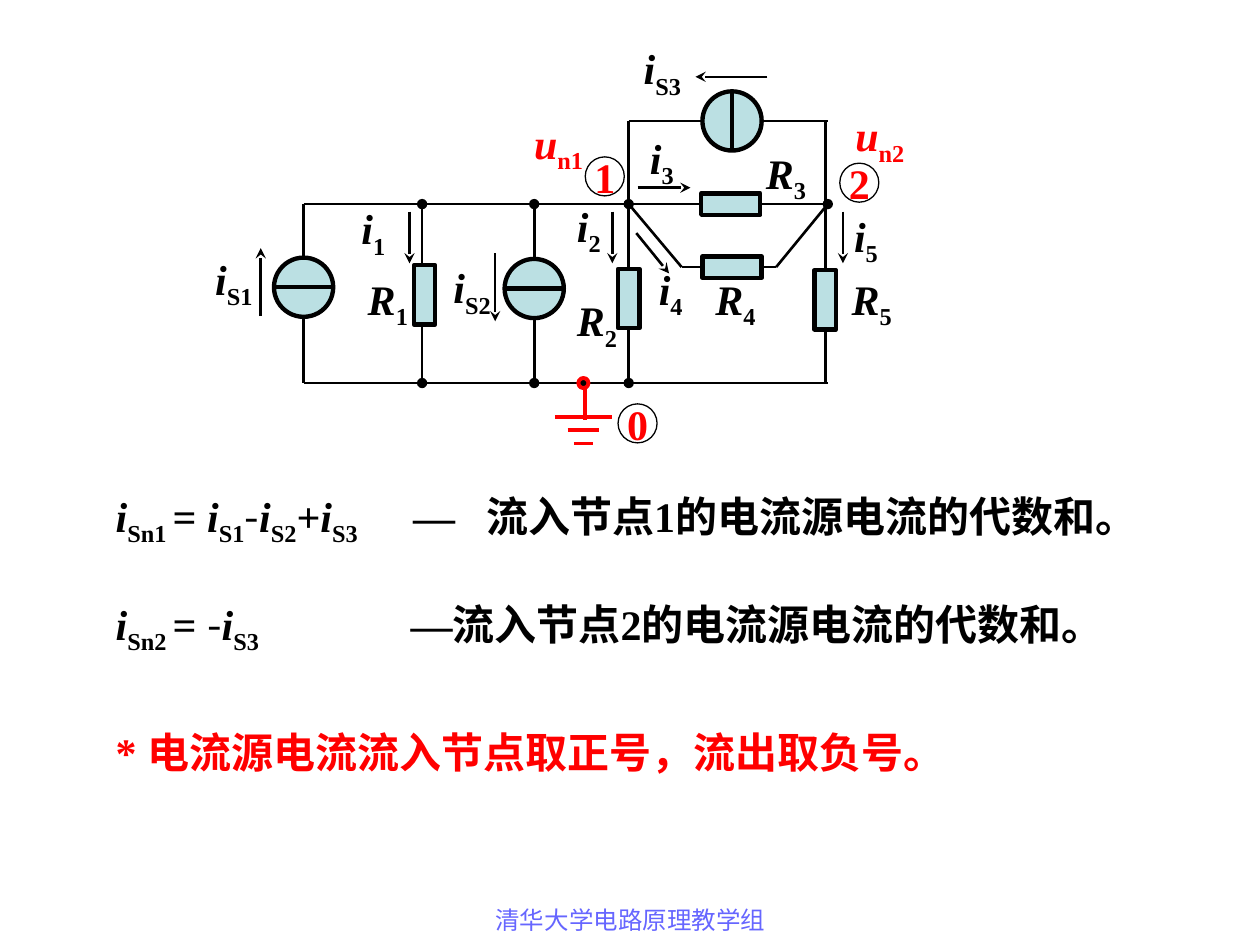
from lxml import etree
from pptx import Presentation
from pptx.dml.color import RGBColor
from pptx.enum.shapes import MSO_CONNECTOR, MSO_SHAPE
from pptx.enum.text import MSO_ANCHOR, PP_ALIGN
from pptx.oxml.ns import qn
from pptx.util import Inches, Pt

LINE = MSO_CONNECTOR.STRAIGHT
OVAL, RECT = MSO_SHAPE.OVAL, MSO_SHAPE.RECTANGLE
LEFT, CENTER = PP_ALIGN.LEFT, PP_ALIGN.CENTER
MIDDLE = MSO_ANCHOR.MIDDLE

BLACK = RGBColor(0x00, 0x00, 0x00)
RED = RGBColor(0xFF, 0x00, 0x00)
TEAL = RGBColor(0xBB, 0xE0, 0xE3)
VIOLET = RGBColor(0x66, 0x66, 0xFF)
SERIF, HAN = "Times New Roman", "Noto Sans CJK SC"

# The slide is a grid of 100 columns and 75 rows
COLS, ROWS = 100, 75


def cell(n):
    return Inches(n / 10)


def write(frame, runs, color=BLACK, size=24, bold=True, align=LEFT, tabs=()):
    """Fill a frame with (text, style) runs: i italic, s subscript, h Han font."""
    para = frame.paragraphs[0]
    para.alignment = align
    if tabs:
        stops = etree.SubElement(para._p.get_or_add_pPr(), qn("a:tabLst"))
        for stop in tabs:
            etree.SubElement(stops, qn("a:tab"), pos=str(cell(stop)), algn="l")
    font = para.font
    font.name, font.size, font.bold = SERIF, Pt(size), bold
    font.color.rgb = color
    for text, style in runs:
        run = para.add_run()
        run.text = text
        props = run._r.get_or_add_rPr()
        if "i" in style:
            run.font.italic = True
        if "s" in style:
            props.set("baseline", "-25000")
        if "h" in style:
            run.font.name, run.font.bold = HAN, False
        if not text.isascii():
            etree.SubElement(props, qn("a:ea"), typeface=HAN)


def note(slide, box, runs, **look):
    frame = slide.shapes.add_textbox(*map(cell, box)).text_frame
    frame.word_wrap = True
    write(frame, runs, **look)


class Board:
    """Draws pieces of the circuit relative to its box."""

    def __init__(self, slide, box):
        self.slide = slide
        self.left, self.top = box[:2]

    def wire(self, x1, y1, x2, y2, color=BLACK, width=1.5, head=None, tail=None):
        line = self.slide.shapes.add_connector(
            LINE, cell(self.left + x1), cell(self.top + y1),
            cell(self.left + x2), cell(self.top + y2))
        line.line.color.rgb = color
        line.line.width = Pt(width)
        props = line._element.spPr
        pen = props.find(qn("a:ln"))
        for tag, kind in (("a:headEnd", head), ("a:tailEnd", tail)):
            if kind:
                etree.SubElement(pen, qn(tag), type=kind)
        etree.SubElement(props, qn("a:effectLst"))

    def piece(self, kind, x, y, w, h, fill=TEAL, color=BLACK, width=2.5):
        """Place a shape by its centre."""
        shape = self.slide.shapes.add_shape(
            kind, cell(self.left + x - w / 2), cell(self.top + y - h / 2),
            cell(w), cell(h))
        shape.shadow.inherit = False
        if fill is None:
            shape.fill.background()
        else:
            shape.fill.solid()
            shape.fill.fore_color.rgb = fill
        shape.line.color.rgb = color
        shape.line.width = Pt(width)
        return shape

    def source(self, x, y, dx, dy):
        self.piece(OVAL, x, y, 4.7, 4.7)
        self.wire(x - dx, y - dy, x + dx, y + dy, width=2.5)

    def label(self, x, y, name, sub, color=BLACK):
        note(self.slide, (self.left + x, self.top + y, 7.2, 5.6),
             [(name, "i"), (sub, "s")], color=color)

    def node(self, x, y, text):
        ring = self.piece(OVAL, x, y, 3.1, 3.1, fill=None, width=0.75)
        frame = ring.text_frame
        frame.margin_left = frame.margin_right = 0
        frame.margin_top = frame.margin_bottom = 0
        frame.word_wrap = False
        frame.vertical_anchor = MIDDLE
        write(frame, [(text, "")], color=RED, align=CENTER)


def circuit(slide, box):
    board = Board(slide, box)
    wire = board.wire
    west, one, two, n1, n2, east = 8.1, 17.5, 26.4, 33.9, 49.5, 49.7
    top, mid, low, base = 6.6, 13.2, 18.2, 27.4

    # Rails and branches
    for ends in ((west, base, east, base), (west, mid, west, base),
                 (n1, mid, n1, top), (n1, top, east, top), (n2, top, n2, base),
                 (n1, mid, 38.1, low), (38.1, low, 45.6, low),
                 (east, mid, 45.6, low)):
        wire(*ends)
    wire(west, mid, east, mid, tail="oval")
    for x in (one, two, n1):
        wire(x, base, x, mid, head="oval", tail="oval")

    # Current sources, each with its bar
    for x, y, dx, dy in ((west, 19.8, 2.35, 0), (two, 19.9, 2.35, 0),
                         (42.1, top, 0, 2.35)):
        board.source(x, y, dx, dy)

    # Resistors
    for x, y in ((17.7, 20.4), (n1, 20.7), (n2, 20.8)):
        board.piece(RECT, x, y, 1.7, 4.7)
    for x, y in ((42, mid), (42.1, low)):
        board.piece(RECT, x, y, 4.7, 1.7)

    # Current arrows
    for x in (16.5, 32.6, 50.9):
        wire(x, 13.8, x, 17.9, tail="stealth")
    for ends in ((4.7, 22.1, 4.7, 16.7), (23.3, 17.1, 23.3, 22.5),
                 (44.9, 3.1, 39.2, 3.1), (34.6, 11.9, 38.8, 11.9),
                 (34.5, 15.5, 37.1, 18.7)):
        wire(*ends, tail="stealth")

    # Labels
    for x, y, name, sub in (
            (0.1, 16.6, "i", "S1"), (19, 17.3, "i", "S2"), (34.1, -0.1, "i", "S3"),
            (11.7, 12.6, "i", "1"), (28.8, 12.4, "i", "2"), (34.6, 7, "i", "3"),
            (35.3, 17.4, "i", "4"), (50.8, 13.2, "i", "5"),
            (12.2, 18.2, "R", "1"), (28.8, 19.9, "R", "2"), (43.8, 8.2, "R", "3"),
            (39.8, 18.2, "R", "4"), (50.6, 18.2, "R", "5")):
        board.label(x, y, name, sub)
    board.label(25.4, 5.8, "u", "n1", RED)
    board.label(50.9, 5.2, "u", "n2", RED)

    # Ground and node numbers
    ground = 30.3
    wire(ground + 0.1, base, ground + 0.1, 30.3, RED, 2.25)
    for half, y in ((2.25, 30.1), (1.25, 31.1), (0.75, 32.2)):
        wire(ground - half, y, ground + half, y, RED, 2.25)
    board.piece(OVAL, ground, base, 0.8, 0.8, BLACK, RED, 2.25)
    for x, y, text in ((34.6, 30.6, "0"), (32, 11, "1"), (52.2, 11.5, "2")):
        board.node(x, y, text)


def rules(slide, box):
    left, top, width = box[:3]
    first = [("i", "i"), ("Sn1 ", "s"), ("= ", ""), ("i", "i"), ("S1", "s"),
             ("-", "h"), ("i", "i"), ("S2", "s"), ("+", ""), ("i", "i"),
             ("S3", "s"), ("\t—\t流入节点1的电流源电流的代数和。", "")]
    second = [("i", "i"), ("Sn2 ", "s"), ("= ", ""), ("-", "h"), ("i", "i"),
              ("S3", "s"), ("\t—流入节点2的电流源电流的代数和。", "")]
    note(slide, (left, top, width, 5.6), first, tabs=(23.6, 29.4))
    note(slide, (left, top + 8.6, width, 5.6), second, tabs=(23.4,))
    note(slide, (left, top + 18.8, width * 0.8, 9),
         [("* 电流源电流流入节点取正号，流出取负号。", "")], color=RED)


def footer(slide, box):
    note(slide, box, [("清华大学电路原理教学组", "")], color=VIOLET,
         size=14, bold=False, align=CENTER)


def main():
    deck = Presentation()
    deck.slide_width, deck.slide_height = cell(COLS), cell(ROWS)
    slide = deck.slides.add_slide(deck.slide_layouts[6])
    circuit(slide, (16, 3, 58, 33))
    rules(slide, (8.2, 38.4, 85.4, 28))
    footer(slide, (34.2, 71.3, 31.7, 5.2))
    deck.save("out.pptx")


if __name__ == "__main__":
    main()
